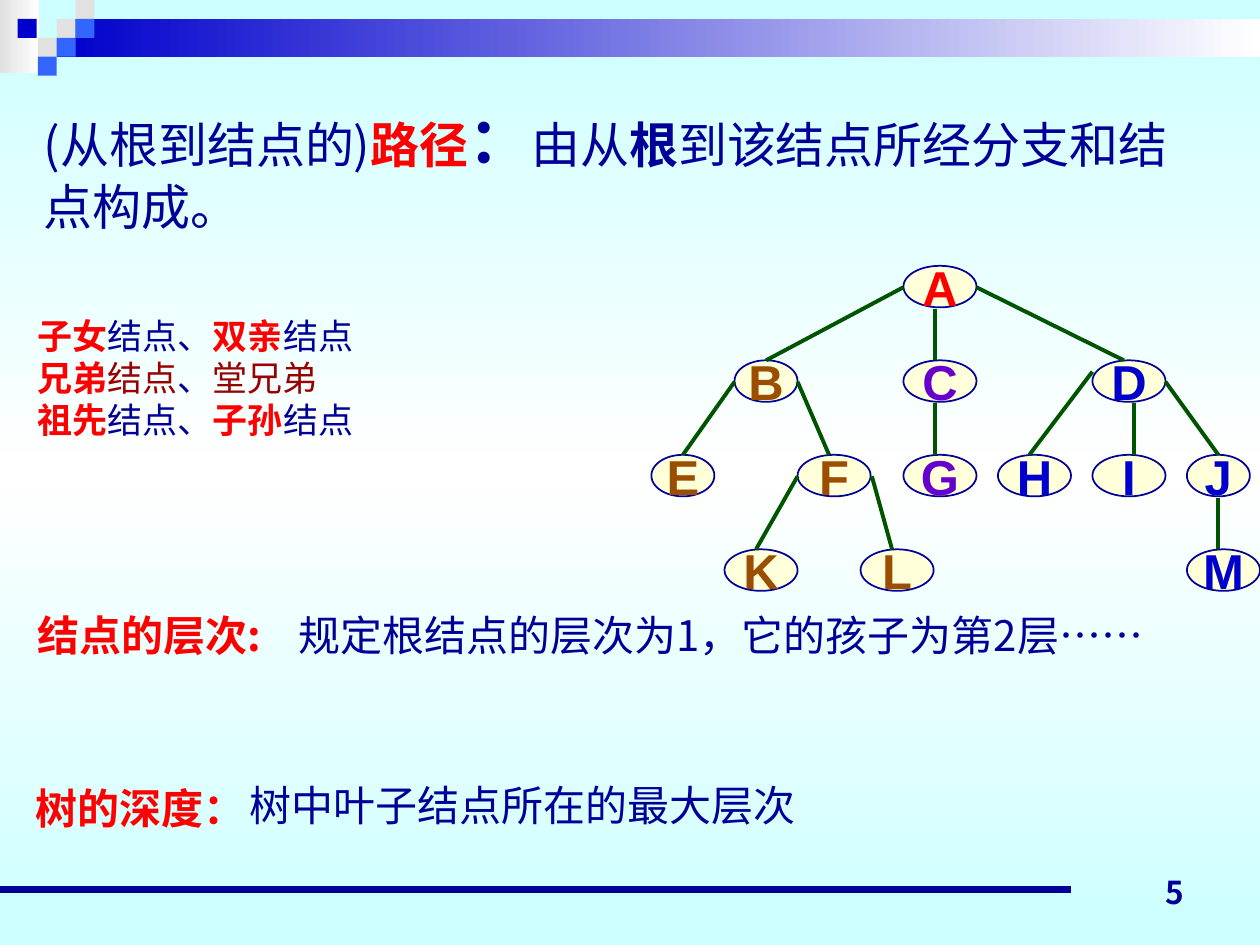
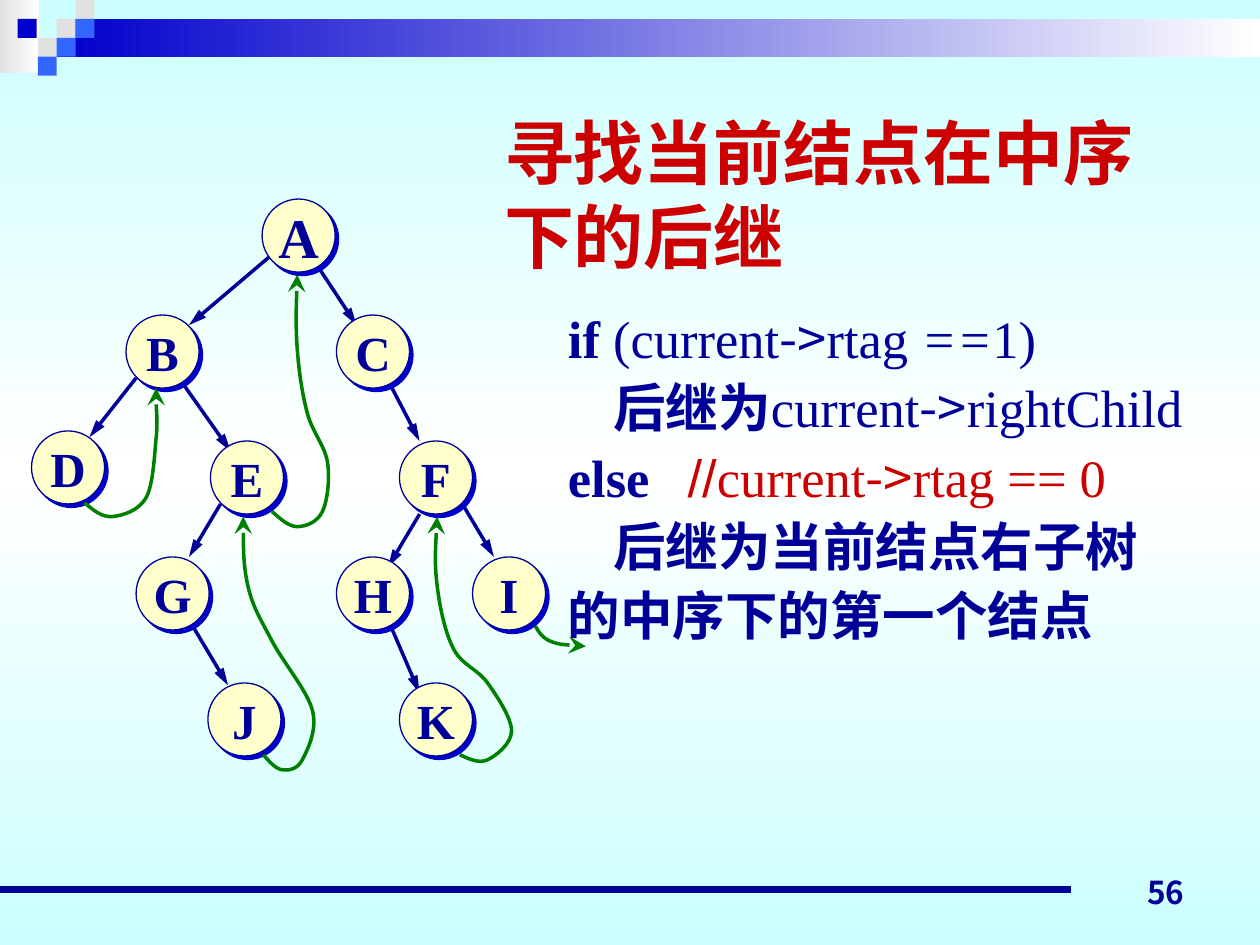
from copy import deepcopy
from dataclasses import dataclass
from typing import NamedTuple

from lxml import etree
from pptx import Presentation
from pptx.dml.color import RGBColor
from pptx.enum.shapes import MSO_CONNECTOR, MSO_SHAPE
from pptx.enum.text import MSO_ANCHOR, MSO_AUTO_SIZE, PP_ALIGN
from pptx.oxml.ns import qn
from pptx.util import Inches, Pt

OVAL, RECT = MSO_SHAPE.OVAL, MSO_SHAPE.RECTANGLE
STRAIGHT = MSO_CONNECTOR.STRAIGHT
LEFT, CENTER, RIGHT = PP_ALIGN.LEFT, PP_ALIGN.CENTER, PP_ALIGN.RIGHT
TOP, MIDDLE, BOTTOM = MSO_ANCHOR.TOP, MSO_ANCHOR.MIDDLE, MSO_ANCHOR.BOTTOM
GROW, FIXED = MSO_AUTO_SIZE.SHAPE_TO_FIT_TEXT, MSO_AUTO_SIZE.NONE

NAVY = RGBColor(0x00, 0x00, 0x99)
BLUE = RGBColor(0x00, 0x00, 0xCC)
BRIGHT_BLUE = RGBColor(0x33, 0x66, 0xFF)
PURPLE = RGBColor(0x66, 0x00, 0xCC)
BROWN = RGBColor(0x9C, 0x4E, 0x00)
MAROON = RGBColor(0x99, 0x00, 0x00)
RED = RGBColor(0xFF, 0x00, 0x00)
DEEP_RED = RGBColor(0xCC, 0x00, 0x00)
DARK_GREEN = RGBColor(0x00, 0x54, 0x00)
GREEN = RGBColor(0x00, 0x80, 0x00)
CREAM = RGBColor(0xFF, 0xFF, 0xD9)
YELLOW = RGBColor(0xFF, 0xFF, 0xCC)
GREY = RGBColor(0xE1, 0xE1, 0xE1)
WHITE = RGBColor(0xFF, 0xFF, 0xFF)
PALE_CYAN = RGBColor(0xCC, 0xFF, 0xFF)

HAN = "Noto Sans CJK SC"
ARIAL = "Arial"
TIMES = "Times New Roman"
PAGE_FONT = "Noto Sans CJK JP"

TILE = 0.15
NODE_SIZE = 0.58
LEVEL_TOP, LEVEL_STEP, LEVEL_HEIGHT = 2.11, 0.75, 0.33
CODE_INDENT = 0.36
COMMENT_TAB = 0.95


class Box(NamedTuple):
    left: float
    top: float
    width: float
    height: float

    def lengths(self) -> list:
        return [Inches(value) for value in self]


class Edge(NamedTuple):
    x1: float
    y1: float
    x2: float
    y2: float


class Arrowhead(NamedTuple):
    kind: str
    width: str
    length: str


@dataclass(frozen=True)
class Span:
    text: str
    color: RGBColor = NAVY
    bold: bool = False
    size: float = 20
    font: str = HAN
    italic: bool = False


@dataclass(frozen=True)
class Node:
    label: str
    box: Box
    color: RGBColor = NAVY
    size: float = 28
    font: str = TIMES


LINK_HEAD = Arrowhead("triangle", "med", "lg")
THREAD_HEAD = Arrowhead("stealth", "lg", "lg")


def level_node(label: str, left: float, level: int, color: RGBColor, width: float = 0.58) -> Node:
    box = Box(left, LEVEL_TOP + level * LEVEL_STEP, width, LEVEL_HEIGHT)
    return Node(label, box, color, font=ARIAL)


LEVEL_TREE = [
    level_node("A", 7.17, 0, RED),
    level_node("B", 5.83, 1, BROWN, 0.5),
    level_node("C", 7.17, 1, PURPLE),
    level_node("D", 8.67, 1, BLUE),
    level_node("E", 5.17, 2, BROWN, 0.5),
    level_node("F", 6.33, 2, BROWN),
    level_node("G", 7.17, 2, PURPLE),
    level_node("H", 7.92, 2, BLUE),
    level_node("I", 8.67, 2, BLUE),
    level_node("J", 9.42, 2, BLUE, 0.5),
    level_node("M", 9.42, 3, BLUE),
    level_node("K", 5.75, 3, BROWN),
    level_node("L", 6.83, 3, BROWN),
]
LEVEL_EDGES = [
    Edge(7.17, 2.28, 6.08, 2.86), Edge(7.42, 2.45, 7.42, 2.86), Edge(7.75, 2.28, 8.92, 2.86),
    Edge(5.83, 3.03, 5.42, 3.61), Edge(6.33, 3.03, 6.58, 3.61), Edge(6.33, 3.78, 6.00, 4.36),
    Edge(6.92, 3.78, 7.08, 4.36), Edge(7.42, 3.20, 7.42, 3.61), Edge(8.67, 2.95, 8.17, 3.61),
    Edge(9.00, 3.20, 9.00, 3.61), Edge(9.25, 3.03, 9.67, 3.61), Edge(9.67, 3.95, 9.67, 4.36),
]
THREADED_TREE = [
    Node(label, Box(left, top, NODE_SIZE, NODE_SIZE), size=32 if label == "A" else 28)
    for label, left, top in [
        ("A", 2.08, 1.58), ("B", 1.00, 2.50), ("D", 0.25, 3.42), ("E", 1.67, 3.50),
        ("C", 2.67, 2.50), ("F", 3.17, 3.50), ("H", 2.67, 4.42), ("I", 3.75, 4.42),
        ("K", 3.17, 5.42), ("G", 1.08, 4.42), ("J", 1.65, 5.42),
    ]
]
CHILD_LINKS = [
    Edge(2.50, 2.08, 2.83, 2.58), Edge(3.07, 3.00, 3.33, 3.50), Edge(3.67, 4.00, 3.92, 4.42),
    Edge(3.33, 4.08, 3.08, 4.50), Edge(3.08, 4.92, 3.33, 5.50), Edge(2.16, 2.02, 1.50, 2.58),
    Edge(1.42, 3.00, 1.83, 3.58), Edge(1.75, 4.00, 1.50, 4.42), Edge(1.50, 4.92, 1.81, 5.44),
    Edge(1.08, 3.00, 0.71, 3.47),
]
SUCCESSOR_THREADS = [
    [(0.67, 3.99), (0.89, 4.10), (1.16, 3.95), (1.24, 3.47), (1.24, 3.20), (1.24, 3.08)],
    [(2.16, 4.06), (2.36, 4.18), (2.56, 4.06), (2.60, 3.67), (2.44, 3.28), (2.36, 2.77), (2.36, 2.18)],
    [(2.09, 5.99), (2.24, 6.11), (2.40, 6.03), (2.48, 5.64), (2.16, 5.09), (1.97, 4.66), (1.93, 4.10)],
    [(3.65, 5.99), (3.87, 6.03), (4.06, 5.80), (3.87, 5.42), (3.60, 5.15), (3.47, 4.65), (3.47, 4.10)],
    [(4.25, 4.97), (4.37, 5.09), (4.65, 5.13)],
]


def add_span(paragraph, span: Span) -> None:
    run = paragraph.add_run()
    run.text = span.text
    font = run.font
    font.size, font.name = Pt(span.size), span.font
    font.bold, font.italic = span.bold, span.italic
    font.color.rgb = span.color
    east_asian = etree.Element(qn("a:ea"), typeface=HAN)
    run.font._element.find(qn("a:latin")).addnext(east_asian)


def fill_text(shape, lines: list, align=LEFT, anchor=TOP, wrap=True, fit=GROW) -> None:
    frame = shape.text_frame
    frame.word_wrap, frame.vertical_anchor, frame.auto_size = wrap, anchor, fit
    for number, line in enumerate(lines):
        paragraph = frame.add_paragraph() if number else frame.paragraphs[0]
        paragraph.alignment = align
        for span in line:
            add_span(paragraph, span)


def add_text(slide, box: Box, lines: list, **layout):
    text_box = slide.shapes.add_textbox(*box.lengths())
    fill_text(text_box, lines, **layout)
    return text_box


def style_line(shape, color: RGBColor, width: float, head: Arrowhead | None = None) -> None:
    shape.line.color.rgb, shape.line.width = color, Pt(width)
    if head:
        outline = shape.element.xpath(".//a:ln")[0]
        etree.SubElement(outline, qn("a:tailEnd"), type=head.kind, w=head.width, len=head.length)


def add_edge(slide, edge: Edge, color: RGBColor, width: float, head: Arrowhead | None = None):
    connector = slide.shapes.add_connector(STRAIGHT, *(Inches(value) for value in edge))
    style_line(connector, color, width, head)
    etree.SubElement(connector.element.spPr, qn("a:effectLst"))
    return connector


def add_node(slide, node: Node, fill: RGBColor, outline: float, shadow: bool = False) -> None:
    oval = slide.shapes.add_shape(OVAL, *node.box.lengths())
    oval.shadow.inherit = False
    oval.fill.solid()
    oval.fill.fore_color.rgb = fill
    style_line(oval, NAVY, outline)
    label = Span(node.label, node.color, True, node.size, node.font)
    fill_text(oval, [[label]], align=CENTER, anchor=MIDDLE, wrap=False, fit=FIXED)
    if shadow:
        effects = oval.element.spPr.find(qn("a:effectLst"))
        cast = etree.SubElement(effects, qn("a:outerShdw"), dist=str(Pt(2.8)), dir="2700000",
                                algn="ctr", rotWithShape="0")
        etree.SubElement(cast, qn("a:srgbClr"), val=str(BLUE))


def add_thread(slide, knots: list) -> None:
    """Draw a smooth arrow through the knots, its tangents parallel to the neighbours' chord."""
    tangents = [(0, 0)] + [
        ((after[0] - before[0]) / 6, (after[1] - before[1]) / 6)
        for before, after in zip(knots, knots[2:])
    ] + [(0, 0)]
    points = []
    for i in range(len(knots) - 1):
        (x1, y1), (x2, y2) = knots[i], knots[i + 1]
        leave = (x1 + tangents[i][0], y1 + tangents[i][1])
        arrive = (x2 - tangents[i + 1][0], y2 - tangents[i + 1][1])
        if i == 0:
            leave = ((x1 + arrive[0]) / 2, (y1 + arrive[1]) / 2)
        if i == len(knots) - 2:
            arrive = ((x2 + leave[0]) / 2, (y2 + leave[1]) / 2)
        points += [leave, arrive, (x2, y2)]
    builder = slide.shapes.build_freeform(Inches(knots[0][0]), Inches(knots[0][1]))
    builder.add_line_segments([(Inches(x), Inches(y)) for x, y in points], close=False)
    thread = builder.convert_to_shape()
    steps = thread.element.xpath(".//a:lnTo")
    for start in range(0, len(steps), 3):
        curve = etree.Element(qn("a:cubicBezTo"))
        steps[start].addprevious(curve)
        for step in steps[start:start + 3]:
            curve.append(step[0])
            step.getparent().remove(step)
    thread.shadow.inherit = False
    thread.fill.background()
    style_line(thread, GREEN, 2, THREAD_HEAD)


def paint_gradient(fill, owner, colors: list, angle: float) -> None:
    fill.gradient()
    fill.gradient_angle = angle
    stops = owner.xpath(".//a:gsLst")[0]
    while len(stops) < len(colors):
        stops.append(deepcopy(stops[0]))
    for number, (stop, color) in enumerate(zip(fill.gradient_stops, colors)):
        stop.position = number / (len(colors) - 1)
        stop.color.rgb = color


def decorate_master(master, slide) -> None:
    """Build the background, header mosaic and footer rule, and move them to the master."""
    paint_gradient(master.background.fill, master.element, [PALE_CYAN, WHITE, PALE_CYAN], 90)
    parts = []
    for box, colors in [
        (Box(0, 0, 0.31, 0.58), [GREY, WHITE]),
        (Box(0.45, 0.15, 9.55, 0.3), [BLUE, WHITE]),
        *((Box(left, top, TILE, TILE), [color]) for left, top, color in [
            (0.45, 0.15, GREY), (0.6, 0, GREY), (0.6, 0.15, BRIGHT_BLUE), (0.3, 0.3, GREY),
            (0.14, 0.15, BLUE), (0.45, 0.3, BRIGHT_BLUE), (0.3, 0.45, BRIGHT_BLUE),
        ]),
    ]:
        part = slide.shapes.add_shape(RECT, *box.lengths())
        part.shadow.inherit = False
        part.line.fill.background()
        if len(colors) > 1:
            paint_gradient(part.fill, part.element, colors, 0)
        else:
            part.fill.solid()
            part.fill.fore_color.rgb = colors[0]
        parts.append(part)
    parts.append(add_edge(slide, Edge(0, 7.06, 8.5, 7.06), NAVY, 4.5))
    for number, part in enumerate(parts, start=100):
        part.element.xpath("./*/p:cNvPr")[0].set("id", str(number))
        master.shapes.element.append(part.element)


def add_page_number(slide, number: int) -> None:
    label = Span(str(number), bold=True, size=18, font=PAGE_FONT)
    add_text(slide, Box(7.17, 6.78, 2.33, 0.5), [[label]], align=RIGHT, anchor=BOTTOM, fit=FIXED)


def build_terms_slide(slide) -> None:
    add_page_number(slide, 5)
    add_text(slide, Box(0.2, 2.45, 5.07, 1.11), [
        [Span("子女", RED, True), Span("结点、"), Span("双亲", RED, True), Span("结点")],
        [Span("兄弟", RED, True), Span("结点", MAROON), Span("、"), Span("堂兄弟", MAROON)],
        [Span("祖先", RED, True), Span("结点、"), Span("子孙", RED, True), Span("结点")],
    ])
    add_text(slide, Box(0.2, 4.79, 2.06, 0.5), [[Span("结点的层次:", RED, True, 24)]], wrap=False)
    add_text(slide, Box(0.18, 6.16, 2.92, 0.5), [[Span("树的深度：", RED, True, 24, ARIAL)]])
    add_text(slide, Box(0.25, 0.75, 9.42, 1.18), [[
        Span("(从根到结点的)", size=28), Span("路径", RED, True, 28), Span("：", bold=True, size=36),
        Span("由从", size=28), Span("根", bold=True, size=28),
        Span("到该结点所经分支和结点构成。", size=28),
    ]])
    for node in LEVEL_TREE:
        add_node(slide, node, CREAM, 1)
    for edge in LEVEL_EDGES:
        add_edge(slide, edge, DARK_GREEN, 2.25)
    add_text(slide, Box(2.27, 4.79, 7.73, 0.5), [[
        Span("规定根结点的层次为1，它的孩子为第2层", size=24), Span("……", size=24, font=ARIAL),
    ]])
    add_text(slide, Box(1.88, 6.14, 4.58, 0.5),
             [[Span("树中叶子结点所在的最大层次", size=24, font=ARIAL)]], wrap=False)


def code(text: str, color: RGBColor = NAVY, bold: bool = False, font: str = TIMES,
         italic: bool = False) -> Span:
    return Span(text, color, bold, 30, font, italic)


def build_successor_slide(slide) -> None:
    add_page_number(slide, 56)
    for link in CHILD_LINKS:
        add_edge(slide, link, NAVY, 2, LINK_HEAD)
    algorithm = add_text(slide, Box(4.41, 2.33, 5.4, 3.43), [
        [code("if", bold=True), code(" (current"), code("->", font=HAN), code("rtag "),
         code("==", italic=True), code("1)")],
        [code("后继为", bold=True), code("current"), code("->", font=HAN), code("rightChild")],
        [code("else\t", bold=True), code("//", DEEP_RED, font=ARIAL), code("current", DEEP_RED),
         code("->", DEEP_RED, font=HAN), code("rtag == 0", DEEP_RED)],
        [code("后继为当前结点右子树", bold=True)],
    ])
    steps = algorithm.text_frame.paragraphs
    for step in steps:
        step.line_spacing = 1.1
    for step in (steps[1], steps[3]):
        step._p.get_or_add_pPr().set("indent", str(Inches(CODE_INDENT)))
    tabs = etree.SubElement(steps[2]._p.get_or_add_pPr(), qn("a:tabLst"))
    etree.SubElement(tabs, qn("a:tab"), pos=str(Inches(COMMENT_TAB)), algn="l")
    steps[3].add_line_break()
    add_span(steps[3], code("的中序下的第一个结点", bold=True))

    title = slide.shapes.title
    title.left, title.top, title.width, title.height = Box(3.9, 0.82, 5.75, 1.43).lengths()
    fill_text(title, [[Span("寻找当前结点在中序下的后继", DEEP_RED, True, 40, TIMES)]])
    for node in THREADED_TREE:
        add_node(slide, node, YELLOW, 0.75, shadow=True)
    for knots in SUCCESSOR_THREADS:
        add_thread(slide, knots)


def main() -> None:
    deck = Presentation()
    deck.slide_width, deck.slide_height = Inches(10), Inches(7.5)
    title_only, blank = deck.slide_layouts[5], deck.slide_layouts[6]
    terms = deck.slides.add_slide(blank)
    decorate_master(deck.slide_master, terms)
    build_terms_slide(terms)
    build_successor_slide(deck.slides.add_slide(title_only))
    deck.save("out.pptx")


if __name__ == "__main__":
    main()
